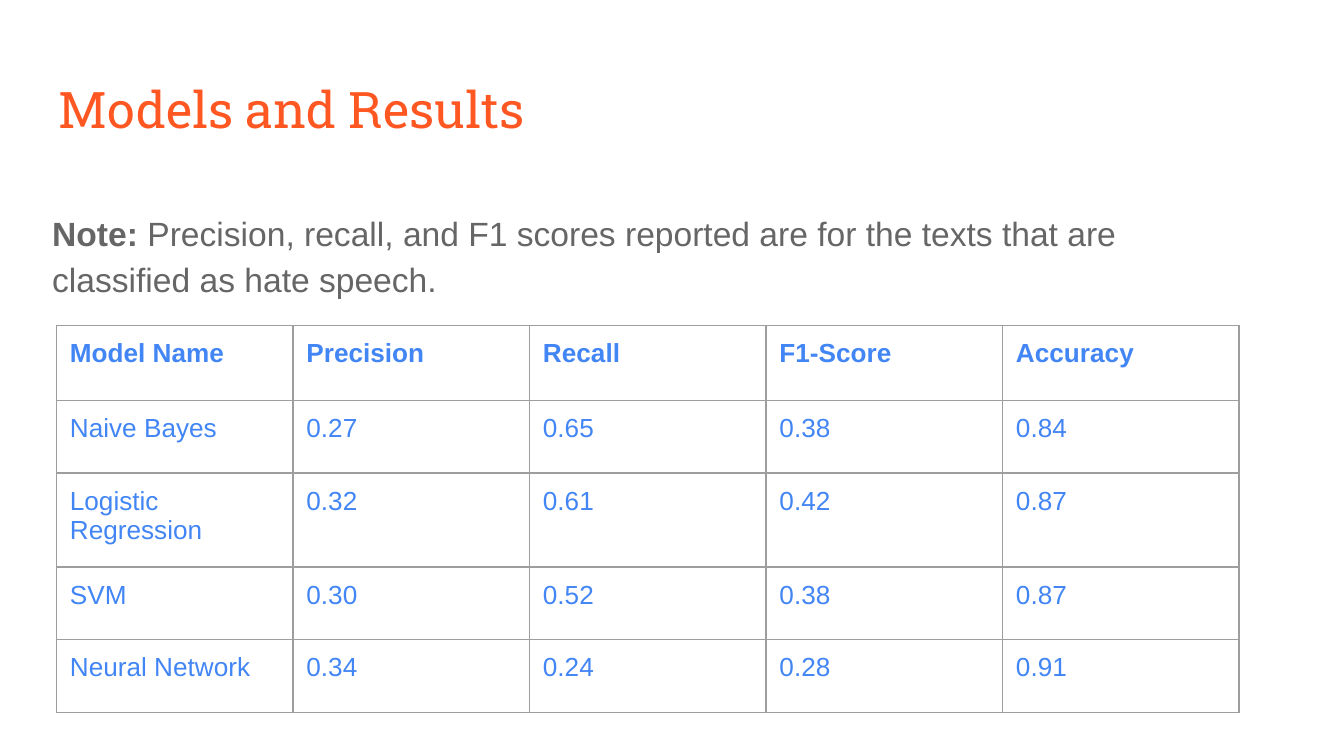
from lxml import etree
from pptx import Presentation
from pptx.dml.color import RGBColor
from pptx.enum.text import MSO_ANCHOR
from pptx.oxml.ns import qn
from pptx.util import Inches, Pt

TOP, MIDDLE = MSO_ANCHOR.TOP, MSO_ANCHOR.MIDDLE
COLORS = {"title": "FF5722", "note": "666666", "table": "4285F4", "border": "9E9E9E"}
RESULTS = [
    ["Model Name", "Precision", "Recall", "F1-Score", "Accuracy"],
    ["Naive Bayes", "0.27", "0.65", "0.38", "0.84"],
    ["Logistic Regression", "0.32", "0.61", "0.42", "0.87"],
    ["SVM", "0.30", "0.52", "0.38", "0.87"],
    ["Neural Network", "0.34", "0.24", "0.28", "0.91"],
]
ROW_HEIGHTS = [0.56, 0.54, 0.7, 0.54, 0.54]
COLUMN_WIDTH = 1.76
INSET = Inches(0.1)


def style_run(run, font_name, size, color, bold=False):
    run.font.name = font_name
    run.font.size = Pt(size)
    run.font.bold = bold
    run.font.color.rgb = RGBColor.from_string(COLORS[color])


def set_frame(holder, anchor):
    """Apply the shared inset and an anchor to a text frame or table cell."""
    holder.margin_left = holder.margin_right = INSET
    holder.margin_top = holder.margin_bottom = INSET
    holder.vertical_anchor = anchor


prs = Presentation()
prs.slide_width = Inches(10)
prs.slide_height = Inches(10 * 9 / 16)
slide = prs.slides.add_slide(prs.slide_layouts[6])

# Title
title = slide.shapes.add_textbox(
    Inches(0.34), Inches(0.49), Inches(9.32), Inches(0.63)).text_frame
title.word_wrap = True
set_frame(title, MIDDLE)
title.text = "Models and Results"
style_run(title.paragraphs[0].runs[0], "Roboto Slab", 27, "title")

# Note
note = slide.shapes.add_textbox(
    Inches(0.29), Inches(1.44), Inches(9.15), Inches(3.37)).text_frame
note.word_wrap = True
set_frame(note, TOP)
note_line = note.paragraphs[0]
note_line.line_spacing = 1.15
note_line.space_after = Pt(12)
for text, bold in [
    ("Note:", True),
    (" Precision, recall, and F1 scores reported are for the texts "
     "that are classified as hate speech.", False),
]:
    run = note_line.add_run()
    run.text = text
    style_run(run, "Arial", 18, "note", bold)

# Results table
results = slide.shapes.add_table(
    len(RESULTS), len(RESULTS[0]), Inches(0.42), Inches(2.42),
    Inches(COLUMN_WIDTH * len(RESULTS[0])), Inches(sum(ROW_HEIGHTS))).table
results.first_row = results.horz_banding = False
for column in results.columns:
    column.width = Inches(COLUMN_WIDTH)

for r, (values, height) in enumerate(zip(RESULTS, ROW_HEIGHTS)):
    results.rows[r].height = Inches(height)
    for c, value in enumerate(values):
        cell = results.cell(r, c)
        set_frame(cell, TOP)
        cell.text = value
        style_run(cell.text_frame.paragraphs[0].runs[0], "Arial", 14, "table", r == 0)
        cell.fill.background()
        cell_props = cell._tc.get_or_add_tcPr()
        for position, side in enumerate(["a:lnL", "a:lnR", "a:lnT", "a:lnB"]):
            border = etree.Element(qn(side), w=str(Pt(0.75)))
            fill = etree.SubElement(border, qn("a:solidFill"))
            etree.SubElement(fill, qn("a:srgbClr"), val=COLORS["border"])
            cell_props.insert(position, border)

prs.save("out.pptx")
